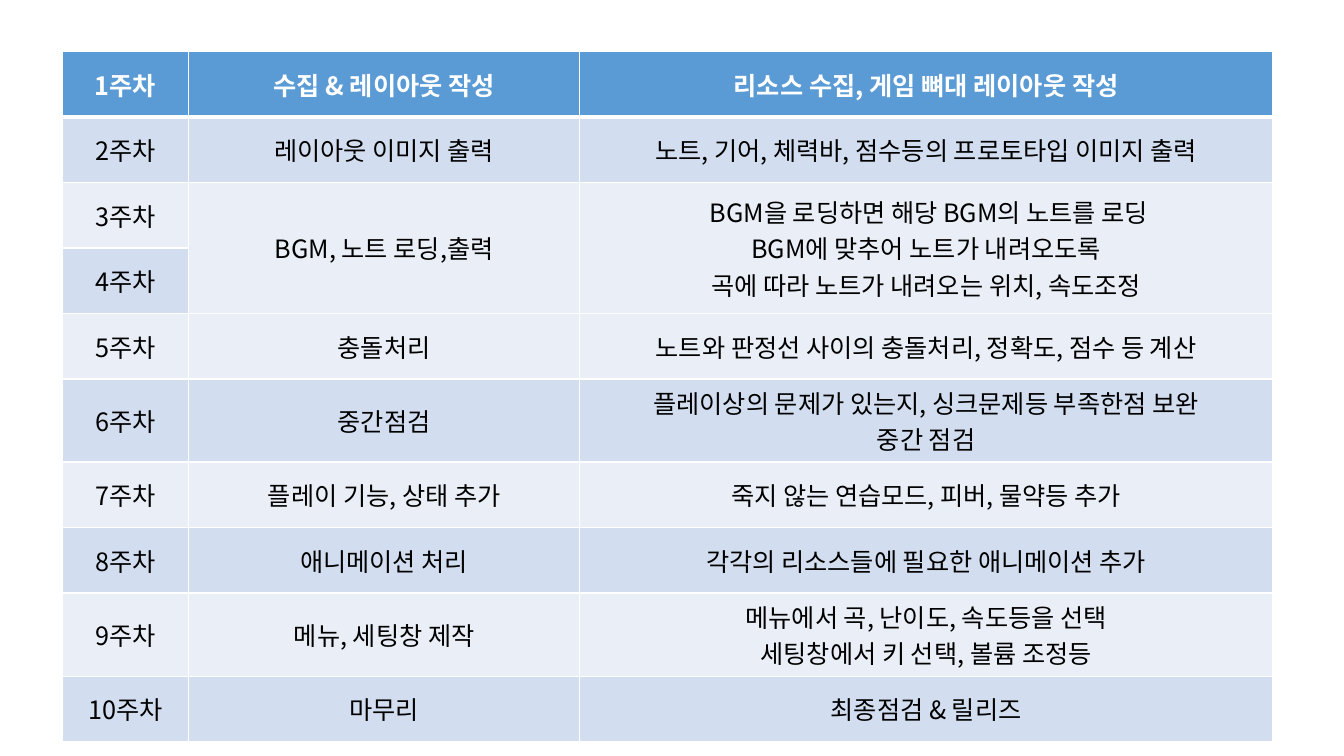
from pptx import Presentation
from pptx.dml.color import RGBColor as Rgb
from pptx.enum.text import MSO_ANCHOR as Anchor, PP_ALIGN as Align
from pptx.util import Inches as In, Pt
from pptx.oxml.ns import qn
from lxml.etree import SubElement as Sub

HUES = {"head": "5B9BD5", "dark": "D2DEEF", "light": "EAEFF7",
        "white": "FFFFFF", "black": "000000"}
FACE = "Noto Sans CJK KR"
COLS = [1.25, 3.88, 6.87]
HIGH = 0.65
PLAN = [
    ("수집 & 레이아웃 작성", "리소스 수집, 게임 뼈대 레이아웃 작성"),
    ("레이아웃 이미지 출력", "노트, 기어, 체력바, 점수등의 프로토타입 이미지 출력"),
    ("BGM, 노트 로딩,출력",
     " BGM을 로딩하면 해당 BGM의 노트를 로딩\n"
     "BGM에 맞추어 노트가 내려오도록\n"
     "곡에 따라 노트가 내려오는 위치, 속도조정"),
    ("", ""),
    ("충돌처리", "노트와 판정선 사이의 충돌처리, 정확도, 점수 등 계산"),
    ("중간점검", "플레이상의 문제가 있는지, 싱크문제등 부족한점 보완\n중간 점검"),
    ("플레이 기능, 상태 추가", "죽지 않는 연습모드, 피버, 물약등 추가"),
    ("애니메이션 처리", "각각의 리소스들에 필요한 애니메이션 추가"),
    ("메뉴, 세팅창 제작", "메뉴에서 곡, 난이도, 속도등을 선택\n세팅창에서 키 선택, 볼륨 조정등"),
    ("마무리", "최종점검 & 릴리즈"),
]


def edge(cell, side, wide):
    line = Sub(cell._tc.get_or_add_tcPr(), qn("a:ln" + side), w=str(Pt(wide)))
    Sub(Sub(line, qn("a:solidFill")), qn("a:srgbClr"), val=HUES["white"])


def write(cell, text, form):
    cell.text = text
    for para in cell.text_frame.paragraphs:
        para.alignment = Align.CENTER
        for run in para.runs:
            for key, val in form.items():
                setattr(run.font, key, val)
            Sub(run.font._element, qn("a:ea"), typeface=FACE)


deck = Presentation()
deck.slide_width, deck.slide_height = In(13.33), In(7.5)
slide = deck.slides.add_slide(deck.slide_layouts[6])
grid = slide.shapes.add_table(len(PLAN), len(COLS), In(0.62), In(0.51),
                              In(sum(COLS)), In(HIGH * len(PLAN))).table
for col, wide in zip(grid.columns, COLS):
    col.width = In(wide)

for r, texts in enumerate(PLAN):
    grid.rows[r].height = In(HIGH)
    band = "head" if r == 0 else "dark" if r % 2 else "light"
    ink = "black" if r else "white"
    for c, text in enumerate((f"{r + 1}주차", *texts)):
        cell = grid.cell(r, c)
        cell.vertical_anchor = Anchor.MIDDLE
        for side in "LRTB":
            thick = (r, side) in [(0, "B"), (1, "T")]
            edge(cell, side, 3 if thick else 1)
        cell.fill.solid()
        cell.fill.fore_color.rgb = Rgb.from_string(HUES[band])
        form = {"name": FACE, "size": Pt(18), "bold": r == 0}
        write(cell, text, form)
        for para in cell.text_frame.paragraphs:
            for run in para.runs:
                run.font.color.rgb = Rgb.from_string(HUES[ink])

for c in (1, 2):
    grid.cell(2, c).merge(grid.cell(3, c))

deck.save("out.pptx")
